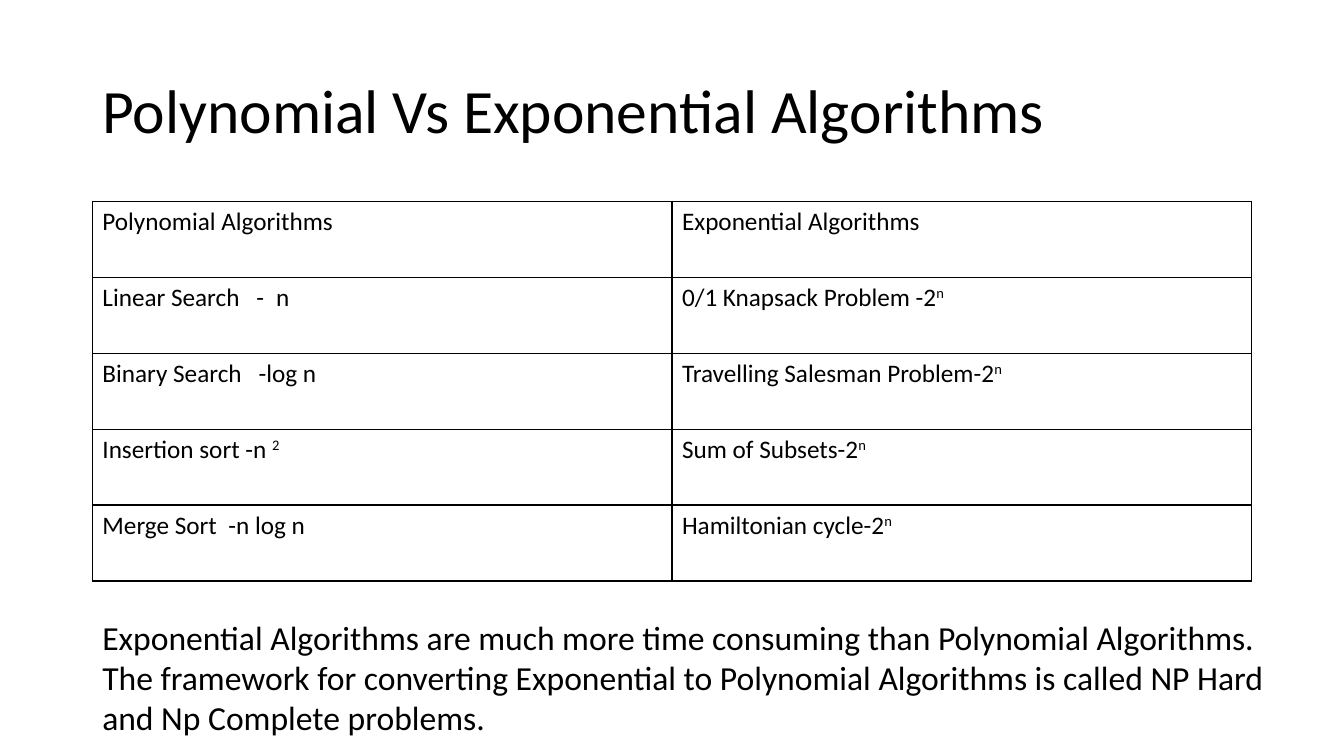
from dataclasses import dataclass
from lxml.etree import SubElement as Sub
from pptx import Presentation
from pptx.dml.color import RGBColor as Rgb
from pptx.enum.text import MSO_ANCHOR as Anchor, MSO_AUTO_SIZE as Fit
from pptx.oxml import parse_xml
from pptx.oxml.ns import nsdecls, qn
from pptx.util import Pt


@dataclass(frozen=True)
class Theme:
    font: str = "Calibri"
    ink: str = "000000"
    title: int = 44
    cell: int = 18
    body: int = 24
    rule: int = 1


class Page:
    def __init__(self, deck, theme):
        self.theme = theme
        self.slide = deck.slides.add_slide(deck.slide_layouts[6])

    def style(self, para, size):
        for run in para.runs:
            run.font.name = self.theme.font
            run.font.size = Pt(size)
            run.font.color.rgb = Rgb.from_string(self.theme.ink)

    def text(self, words, box, size, anchor=Anchor.TOP, space=1.0, fit=Fit.NONE):
        frame = self.slide.shapes.add_textbox(*map(Pt, box)).text_frame
        frame.word_wrap = True
        frame.auto_size = fit
        frame.vertical_anchor = anchor
        frame.text = words
        para = frame.paragraphs[0]
        para.line_spacing = space
        self.style(para, size)

    def border(self, cell):
        props = cell._tc.get_or_add_tcPr()
        for spot, side in enumerate("LRTB"):
            line = parse_xml(
                f'<a:ln{side} {nsdecls("a")} w="{Pt(self.theme.rule)}"><a:solidFill>'
                f'<a:srgbClr val="{self.theme.ink}"/></a:solidFill></a:ln{side}>')
            props.insert(spot, line)

    def fill(self, cell, words, stops=()):
        # A caret starts a superscript
        base, _, power = words.partition("^")
        para = cell.text_frame.paragraphs[0]
        para.text = base
        if power:
            run = para.add_run()
            run.text = power
            run._r.get_or_add_rPr().set("baseline", "30000")
        if stops:
            tabs = Sub(para._p.get_or_add_pPr(), qn("a:tabLst"))
            for stop in stops:
                Sub(tabs, qn("a:tab"), pos=str(Pt(stop)), algn="l")
        self.style(para, self.theme.cell)
        cell.fill.background()
        self.border(cell)

    def table(self, rows, box):
        grid = self.slide.shapes.add_table(len(rows), 2, *map(Pt, box)).table
        grid.first_row = grid.horz_banding = False
        for row, (left, right, stops) in enumerate(rows):
            self.fill(grid.cell(row, 0), left, stops)
            self.fill(grid.cell(row, 1), right)


# Left algorithm, right algorithm, tab stops of the left cell
ROWS = [
    ("Polynomial Algorithms", "Exponential Algorithms", ()),
    ("Linear Search\t-\tn", "0/1 Knapsack Problem -2^n", (110, 124)),
    ("Binary Search\t-log n", "Travelling Salesman Problem-2^n", (111.5,)),
    ("Insertion sort -n ^2", "Sum of Subsets-2^n", ()),
    ("Merge Sort\t-n log n", "Hamiltonian cycle-2^n", (90,)),
]
NOTE = ("Exponential Algorithms are much more time consuming than Polynomial "
        "Algorithms. The framework for converting Exponential to Polynomial "
        "Algorithms is called NP Hard and Np Complete problems.")


def main():
    deck = Presentation()
    deck.slide_width, deck.slide_height = Pt(960), Pt(540)
    theme = Theme()
    page = Page(deck, theme)
    left, wide = 66, 828

    # Title
    page.text("Polynomial Vs Exponential Algorithms", (left, 28.75, wide, 104.4),
              theme.title, Anchor.MIDDLE, 0.9)
    # Comparison table
    page.table(ROWS, (left, 143.75, wide, 271.3))
    # Closing remark
    page.text(NOTE, (left, 437, 844, 94.5), theme.body, fit=Fit.SHAPE_TO_FIT_TEXT)

    deck.save("out.pptx")


if __name__ == "__main__":
    main()
